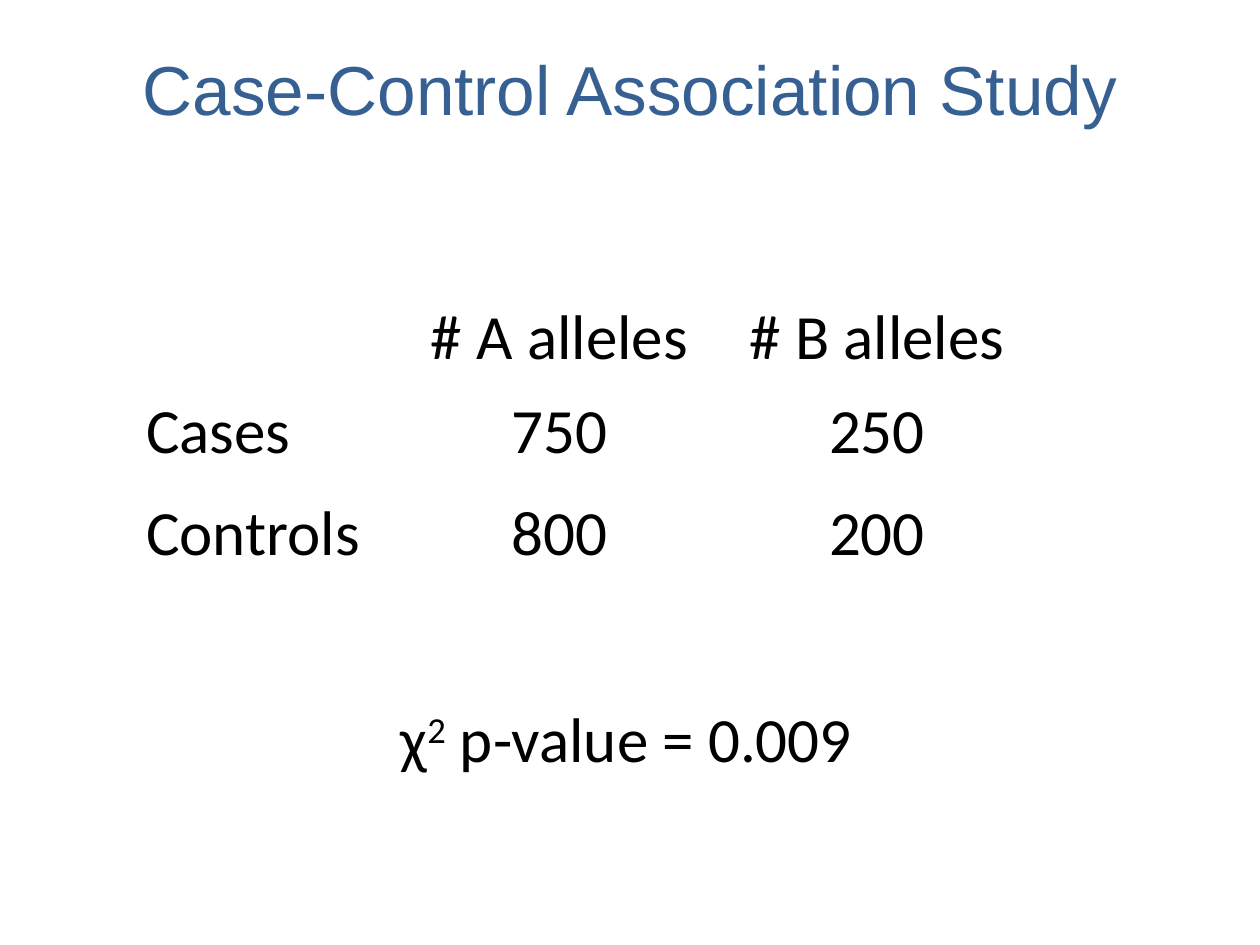
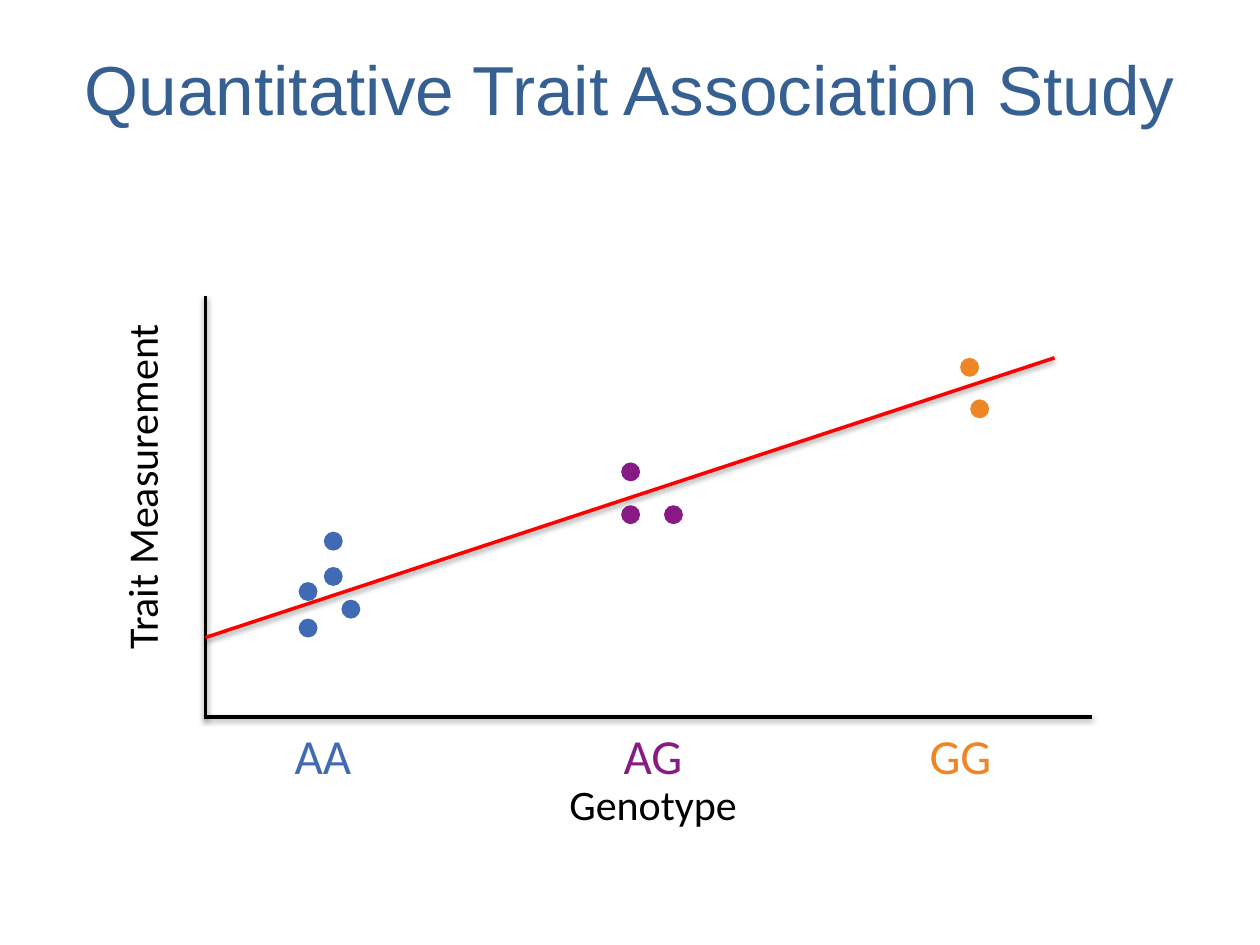
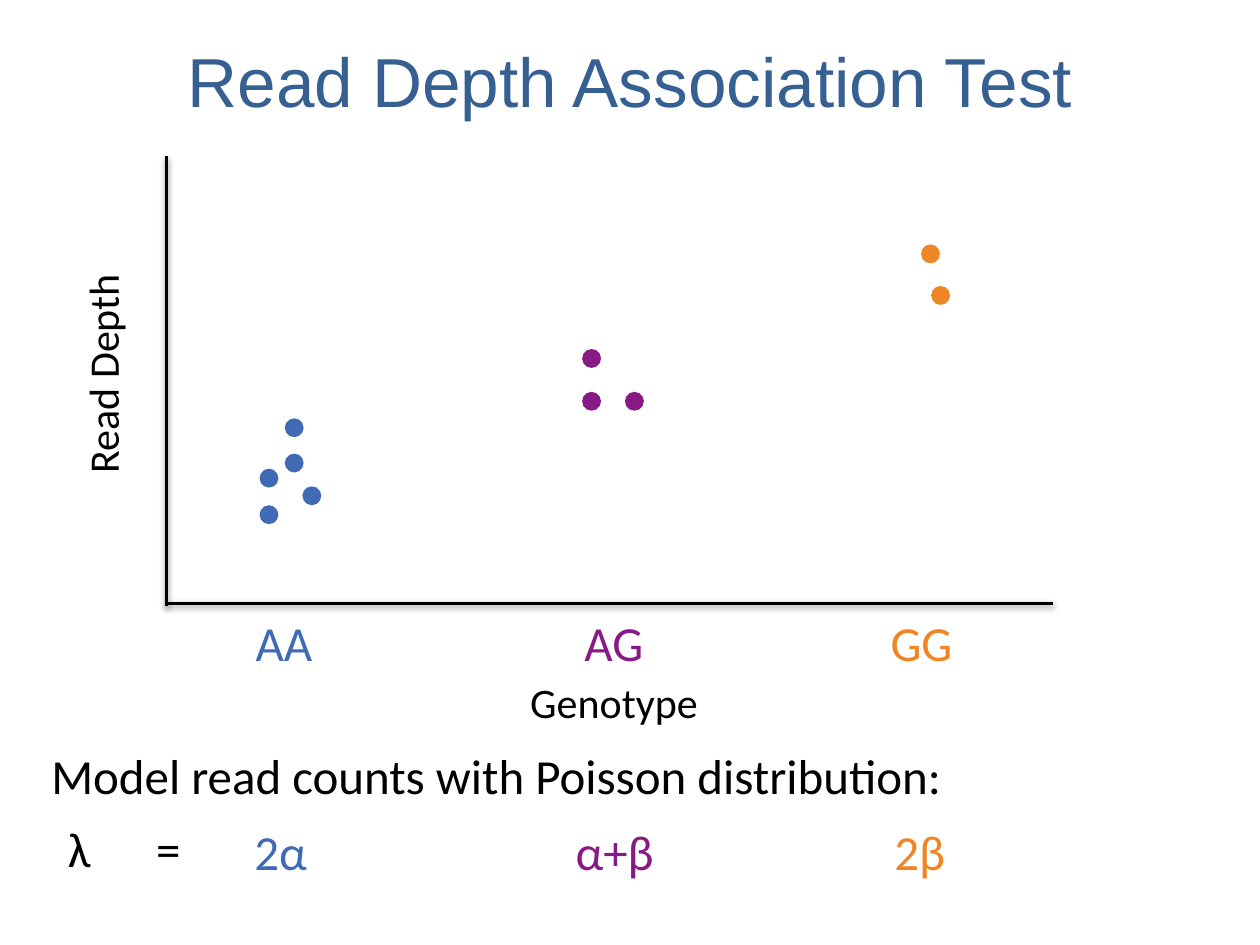
import pptx
import pptx.dml.color
import pptx.enum.shapes
import pptx.enum.text
import pptx.oxml
import pptx.oxml.ns
import pptx.util
from pptx.util import Inches

COLORS = {
    "title": "376092",
    "text": "000000",
    "trend": "FF0000",
    "AA": "416AB5",
    "AG": "881A86",
    "GG": "EF8525",
}
BODY_FONT = "Calibri"
TITLE_FONT = "Arial"
DOT_SIZE = 0.15
LABEL_HEIGHT = 0.57
AXIS_LENGTH = 7.04

# Left and top of each dot, measured from the corner of the axes
DOTS = {
    "AA": [(0.94, -1.19), (0.74, -0.78), (0.94, -1.47), (1.08, -0.93), (0.74, -1.07)],
    "AG": [(3.3, -2.02), (3.64, -1.68), (3.3, -1.68)],
    "GG": [(5.99, -2.85), (6.07, -2.52)],
}
# Left (from the axes) and width of each genotype label
GENOTYPE_LABELS = {"AA": (0.61, 0.66), "AG": (3.22, 0.68), "GG": (5.65, 0.7)}

ALLELE_COUNTS = [
    ["", "# A alleles", "# B alleles"],
    ["Cases", "750", "250"],
    ["Controls", "800", "200"],
]

SHADOW_XML = (
    f'<a:effectLst {pptx.oxml.ns.nsdecls("a")}>'
    '<a:outerShdw blurRad="40000" dist="20000" dir="5400000" rotWithShape="0">'
    '<a:srgbClr val="000000"><a:alpha val="38000"/></a:srgbClr>'
    "</a:outerShdw></a:effectLst>"
)


def rgb(key):
    return pptx.dml.color.RGBColor.from_string(COLORS[key])


def style_font(font, size, color="text", name=BODY_FONT):
    font.size = pptx.util.Pt(size)
    font.name = name
    font.color.rgb = rgb(color)


def add_titled_slide(prs, title_text, top=0.3):
    slide = prs.slides.add_slide(prs.slide_layouts[5])
    title = slide.shapes.title
    title.left, title.top = Inches(0.5), Inches(top)
    title.width, title.height = Inches(9), Inches(0.8)
    frame = title.text_frame
    frame.text = title_text
    frame.vertical_anchor = pptx.enum.text.MSO_ANCHOR.MIDDLE
    frame.paragraphs[0].alignment = pptx.enum.text.PP_ALIGN.CENTER
    style_font(frame.paragraphs[0].runs[0].font, 39.6, "title", TITLE_FONT)
    return slide


def add_label(slide, text, left, top, width, height=LABEL_HEIGHT, size=28, color="text"):
    label = slide.shapes.add_textbox(
        Inches(left), Inches(top), Inches(width), Inches(height))
    frame = label.text_frame
    frame.word_wrap = False
    frame.text = text
    style_font(frame.paragraphs[0].runs[0].font, size, color)
    return label


def add_line(slide, start, end, color="text"):
    line = slide.shapes.add_connector(
        pptx.enum.shapes.MSO_CONNECTOR.STRAIGHT,
        *(Inches(value) for value in (*start, *end)))
    line.line.color.rgb = rgb(color)
    line.line.width = pptx.util.Pt(2)
    line._element.spPr.append(pptx.oxml.parse_xml(SHADOW_XML))


def add_dot(slide, left, top, color):
    dot = slide.shapes.add_shape(
        pptx.enum.shapes.MSO_SHAPE.OVAL,
        Inches(left), Inches(top), Inches(DOT_SIZE), Inches(DOT_SIZE))
    dot.shadow.inherit = False
    dot.fill.solid()
    dot.fill.fore_color.rgb = rgb(color)
    dot.line.fill.background()


def add_genotype_plot(slide, corner, axis_height, y_title, y_title_width, x_title_drop):
    x, y = corner
    for genotype, dots in DOTS.items():
        for dx, dy in dots:
            add_dot(slide, x + dx, y + dy, genotype)
        dx, width = GENOTYPE_LABELS[genotype]
        add_label(slide, genotype, x + dx, y + 0.02, width, color=genotype)

    # Axes and their titles
    add_line(slide, (x, y - axis_height), (x, y + 0.02))
    add_line(slide, (x + AXIS_LENGTH, y), (x, y))
    y_label = add_label(slide, y_title, x - 0.51 - y_title_width / 2, y - 2.09,
                        y_title_width, 0.5, size=24)
    y_label.rotation = 270
    add_label(slide, "Genotype", x + 2.79, y + x_title_drop, 1.55, 0.5, size=24)


def add_allele_table(slide):
    column_widths, row_heights = [2.04, 2.68, 2.36], [0.74, 0.78, 0.84]
    table = slide.shapes.add_table(
        len(row_heights), len(column_widths), Inches(1.06), Inches(2.3),
        Inches(sum(column_widths)), Inches(sum(row_heights))).table
    table.first_row = table.horz_banding = False
    for column, width in zip(table.columns, column_widths):
        column.width = Inches(width)
    anchors = pptx.enum.text.MSO_ANCHOR
    for r, (row, height) in enumerate(zip(table.rows, row_heights)):
        row.height = Inches(height)
        for c, cell in enumerate(row.cells):
            cell.fill.background()
            cell.vertical_anchor = anchors.MIDDLE if r else anchors.BOTTOM
            cell.text = ALLELE_COUNTS[r][c]
            paragraph = cell.text_frame.paragraphs[0]
            if c:
                paragraph.alignment = pptx.enum.text.PP_ALIGN.CENTER
            for run in paragraph.runs:
                style_font(run.font, 36)


def add_p_value(slide):
    p_value = add_label(slide, "χ", 3.08, 5.5, 3.84, 0.71, size=36)
    paragraph = p_value.text_frame.paragraphs[0]
    for text in ("2", " p-value = 0.009"):
        run = paragraph.add_run()
        run.text = text
        style_font(run.font, 36)
    paragraph.runs[1]._r.get_or_add_rPr().set("baseline", "30000")


def add_poisson_model(slide):
    add_label(slide, "Model read counts with Poisson distribution:", 0.31, 5.87, 7.37)
    rate = add_label(slide, "λ\t=", 0.44, 6.45, 1.2)
    rate.text_frame.word_wrap = True
    tab_xml = (f'<a:tabLst {pptx.oxml.ns.nsdecls("a")}>'
               f'<a:tab pos="{Inches(0.7)}" algn="l"/></a:tabLst>')
    properties = rate.text_frame.paragraphs[0]._p.get_or_add_pPr()
    properties.append(pptx.oxml.parse_xml(tab_xml))
    for genotype, text, left, width in [
            ("AA", "2α", 1.92, 0.62), ("AG", "α+β", 4.47, 0.83), ("GG", "2β", 7, 0.61)]:
        add_label(slide, text, left, 6.47, width, color=genotype)


def main():
    prs = pptx.Presentation()
    prs.slide_width, prs.slide_height = Inches(10), Inches(7.5)

    # Case-control study
    case_control = add_titled_slide(prs, "Case-Control Association Study")
    add_allele_table(case_control)
    add_p_value(case_control)

    # Quantitative trait with its trend line
    trait = add_titled_slide(prs, "Quantitative Trait Association Study")
    add_genotype_plot(trait, (1.63, 5.69), 3.34, "Trait Measurement", 2.81, 0.44)
    add_line(trait, (1.63, 5.06), (8.37, 2.84), "trend")

    # Read depth with the Poisson model
    depth = add_titled_slide(prs, "Read Depth Association Test", top=0.23)
    add_genotype_plot(depth, (1.32, 4.79), 3.55, "Read Depth", 1.81, 0.53)
    add_poisson_model(depth)

    prs.save("out.pptx")


if __name__ == "__main__":
    main()
